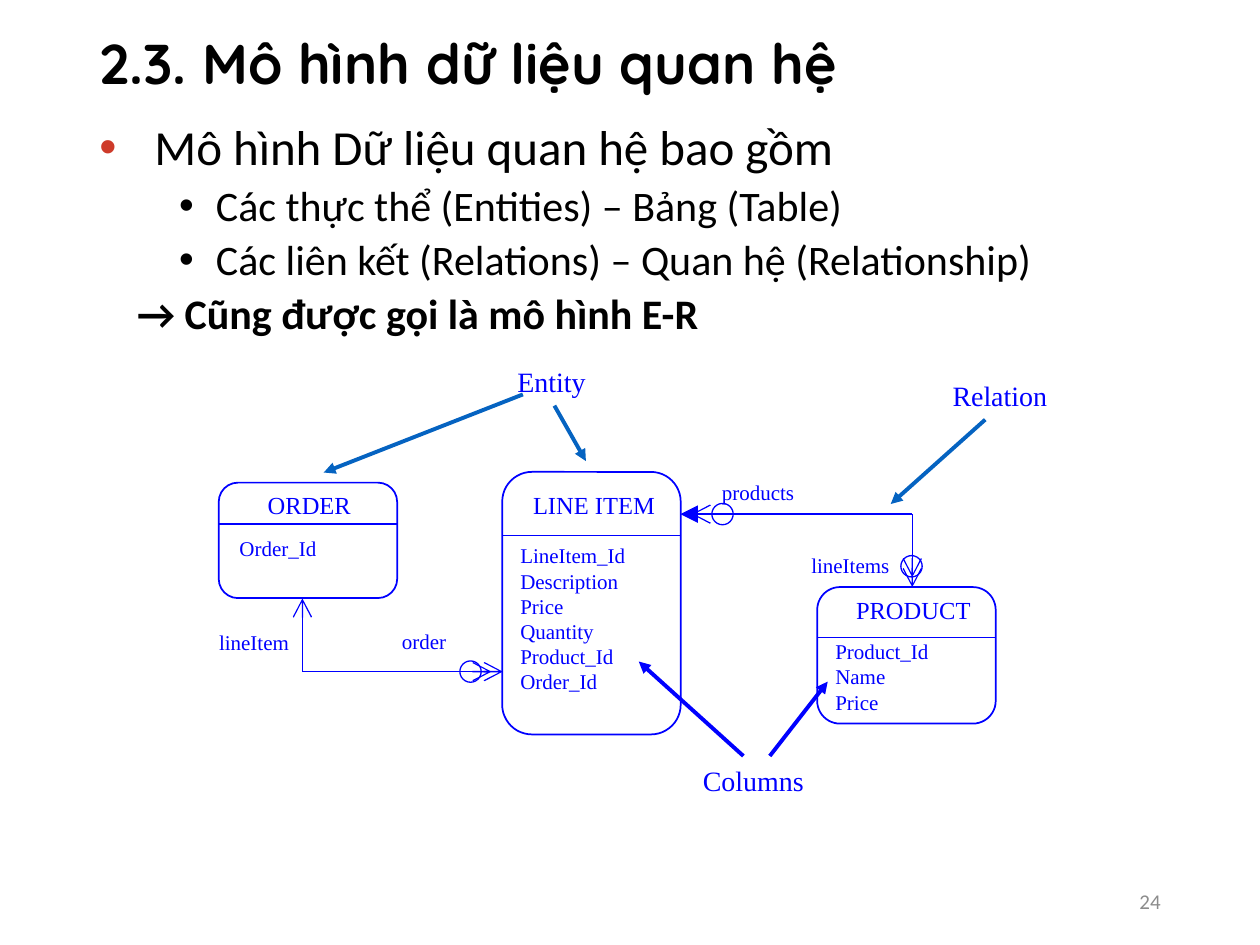
from dataclasses import dataclass

from lxml import etree
from pptx import Presentation
from pptx.dml.color import RGBColor
from pptx.enum.shapes import MSO_CONNECTOR, MSO_SHAPE
from pptx.enum.text import MSO_ANCHOR, MSO_AUTO_SIZE, PP_ALIGN
from pptx.oxml.ns import qn
from pptx.util import Pt

LEFT, CENTER, RIGHT = PP_ALIGN.LEFT, PP_ALIGN.CENTER, PP_ALIGN.RIGHT
TOP, MIDDLE = MSO_ANCHOR.TOP, MSO_ANCHOR.MIDDLE
GROW = MSO_AUTO_SIZE.SHAPE_TO_FIT_TEXT
ROUND = MSO_SHAPE.ROUNDED_RECTANGLE
CIRCLE = MSO_SHAPE.FLOWCHART_CONNECTOR
STRAIGHT = MSO_CONNECTOR.STRAIGHT


@dataclass(frozen=True)
class Theme:
    ink: str = "000000"
    blue: str = "0000FF"
    link: str = "0563C1"
    red: str = "CE3B2A"
    gray: str = "8C8C8C"
    head: str = "Quicksand"
    body: str = "Calibri"
    serif: str = "Times New Roman"
    title: int = 32
    lead: int = 28
    point: int = 24
    label: int = 16
    name: int = 14
    small: int = 12


THEME = Theme()


def paint(para, size, face, color, bold=False):
    for run in para.runs:
        font = run.font
        font.size, font.name, font.bold = Pt(size), face, bold
        font.color.rgb = RGBColor.from_string(color)


def add_text(slide, box, text, size, face=THEME.serif, color=THEME.blue,
             bold=False, align=LEFT, anchor=TOP, pad=(7.2, 3.6)):
    frame = slide.shapes.add_textbox(*map(Pt, box)).text_frame
    frame.word_wrap = True
    frame.vertical_anchor = anchor
    frame.margin_left = frame.margin_right = Pt(pad[0])
    frame.margin_top = frame.margin_bottom = Pt(pad[1])
    frame.text = text
    for para in frame.paragraphs:
        para.alignment = align
        paint(para, size, face, color, bold)
    return frame


def add_label(slide, box, text, size=THEME.small, align=LEFT, wrap=False):
    frame = add_text(slide, box, text, size, align=align, pad=(8.64, 4.32))
    frame.word_wrap = wrap
    frame.auto_size = GROW


def add_bullet(para, left, hang, color):
    props = para._p.get_or_add_pPr()
    props.set("marL", str(Pt(left)))
    props.set("indent", str(Pt(-hang)))
    if color:
        tint = etree.SubElement(props, qn("a:buClr"))
        etree.SubElement(tint, qn("a:srgbClr"), val=color)
        etree.SubElement(props, qn("a:buFont"), typeface="Arial")
        etree.SubElement(props, qn("a:buChar"), char="•")
    else:
        etree.SubElement(props, qn("a:buNone"))


def add_body(slide):
    rows = [
        ("Mô hình Dữ liệu quan hệ bao gồm", 0, 31.5, 31.5, THEME.red),
        ("Các thực thể (Entities) – Bảng (Table)", 1, 66.6, 21, THEME.ink),
        ("Các liên kết (Relations) – Quan hệ (Relationship)", 1, 66.6, 21, THEME.ink),
        ("→ Cũng được gọi là mô hình E-R", 1, 21.6, 0, None),
    ]
    frame = add_text(slide, (49.7, 67, 620.6, 407.5),
                     "\n".join(row[0] for row in rows), THEME.point)
    for para, (_, level, left, hang, color) in zip(frame.paragraphs, rows):
        para.level = level
        para.line_spacing = 0.9
        para.space_before = Pt(5 * level)
        add_bullet(para, left, hang, color)
        size = THEME.point if level else THEME.lead
        paint(para, size, THEME.body, THEME.ink, color is None)


def add_outline(slide, kind, box, width):
    shape = slide.shapes.add_shape(kind, *map(Pt, box))
    shape.shadow.inherit = False
    shape.fill.background()
    shape.line.color.rgb = RGBColor.from_string(THEME.blue)
    shape.line.width = Pt(width)


def add_line(slide, ends, width=0.75, tip=None, color=THEME.blue, span="med"):
    wire = slide.shapes.add_connector(STRAIGHT, *map(Pt, ends))
    wire.line.color.rgb = RGBColor.from_string(color)
    wire.line.width = Pt(width)
    if tip:
        etree.SubElement(wire.line._ln, qn("a:tailEnd"), type=tip, w=span, len=span)
    etree.SubElement(wire._element.spPr, qn("a:effectLst"))


def add_entity(slide, left, top, height, rule, name, place, fields, area, wrap=False):
    wide = 102
    add_outline(slide, ROUND, (left, top, wide, height), 1)
    add_line(slide, (left, rule, left + wide, rule), 1)
    add_label(slide, place, name, THEME.name, CENTER)
    add_label(slide, area, "\n".join(fields), wrap=wrap)


def add_links(slide):
    for ends, tip in [
        ((172.8, 383.8, 172.8, 342), "arrow"),
        ((172.8, 383.8, 287.3, 383.8), "arrow"),
        ((179.3, 383.8, 280.8, 383.8), "arrow"),
        ((521.3, 293.8, 388.8, 293.8), "triangle"),
        ((491, 293.8, 395.3, 293.8), "arrow"),
        ((521.3, 293.8, 521.3, 335.5), "arrow"),
        ((521.3, 311.8, 521.3, 329.8), "arrow"),
    ]:
        add_line(slide, ends, tip=tip, span="lg")
    for left, top in [(262.8, 377.7), (406.8, 287.7), (514.8, 317.5)]:
        add_outline(slide, CIRCLE, (left, top, 12.2, 12.2), 0.75)
    for text, left, top, wide in [
        ("lineItem", 116.6, 355.7, 57.6),
        ("order", 221, 355, 43),
        ("products", 403.9, 269.5, 59),
        ("lineItems", 455, 311.5, 62.5),
    ]:
        add_label(slide, (left, top, wide, 23), text)


def add_notes(slide):
    for text, left, top, wide in [
        ("Entity", 287, 203.8, 56.9),
        ("Relation", 535.7, 212, 72),
        ("Columns", 393, 432, 75.6),
    ]:
        add_label(slide, (left, top, wide, 28), text, THEME.label)
    for ends, color in [
        ((316.8, 231.8, 334.8, 263.5), THEME.link),
        ((298.8, 225.4, 185, 270), THEME.link),
        ((563, 239.8, 509, 288), THEME.link),
        ((424.8, 432, 365, 378), THEME.blue),
        ((439.9, 432, 473, 389.5), THEME.blue),
    ]:
        add_line(slide, ends, 2.25, "triangle", color)


def main():
    deck = Presentation()
    deck.slide_width, deck.slide_height = Pt(720), Pt(540)
    slide = deck.slides.add_slide(deck.slide_layouts[6])
    title = add_text(slide, (49.7, 9, 620.6, 58.3), "2.3. Mô hình dữ liệu quan hệ",
                     THEME.title, THEME.head, THEME.ink, True, anchor=MIDDLE)
    title.paragraphs[0].line_spacing = 0.9
    add_body(slide)
    add_entity(slide, 125, 275.8, 66, 299.5, "ORDER", (144, 275.8, 65.5, 25.2),
               ["Order_Id"], (128.2, 301.7, 61.9, 23))
    add_entity(slide, 287, 269.7, 150, 306, "LINE ITEM", (295.9, 275.8, 87.1, 25.2),
               ["LineItem_Id", "Description", "Price", "Quantity", "Product_Id", "Order_Id"],
               (288.7, 306, 100, 95.8), True)
    add_entity(slide, 467, 335.5, 78, 364.3, "PRODUCT", (480.5, 335.5, 82.8, 25.2),
               ["Product_Id", "Name", "Price"], (468.7, 360.7, 72, 52.6))
    add_links(slide)
    add_notes(slide)
    add_text(slide, (508.3, 500.4, 162, 28.8), "24", THEME.small, THEME.body,
             THEME.gray, align=RIGHT, anchor=MIDDLE)
    deck.save("out.pptx")


if __name__ == "__main__":
    main()
